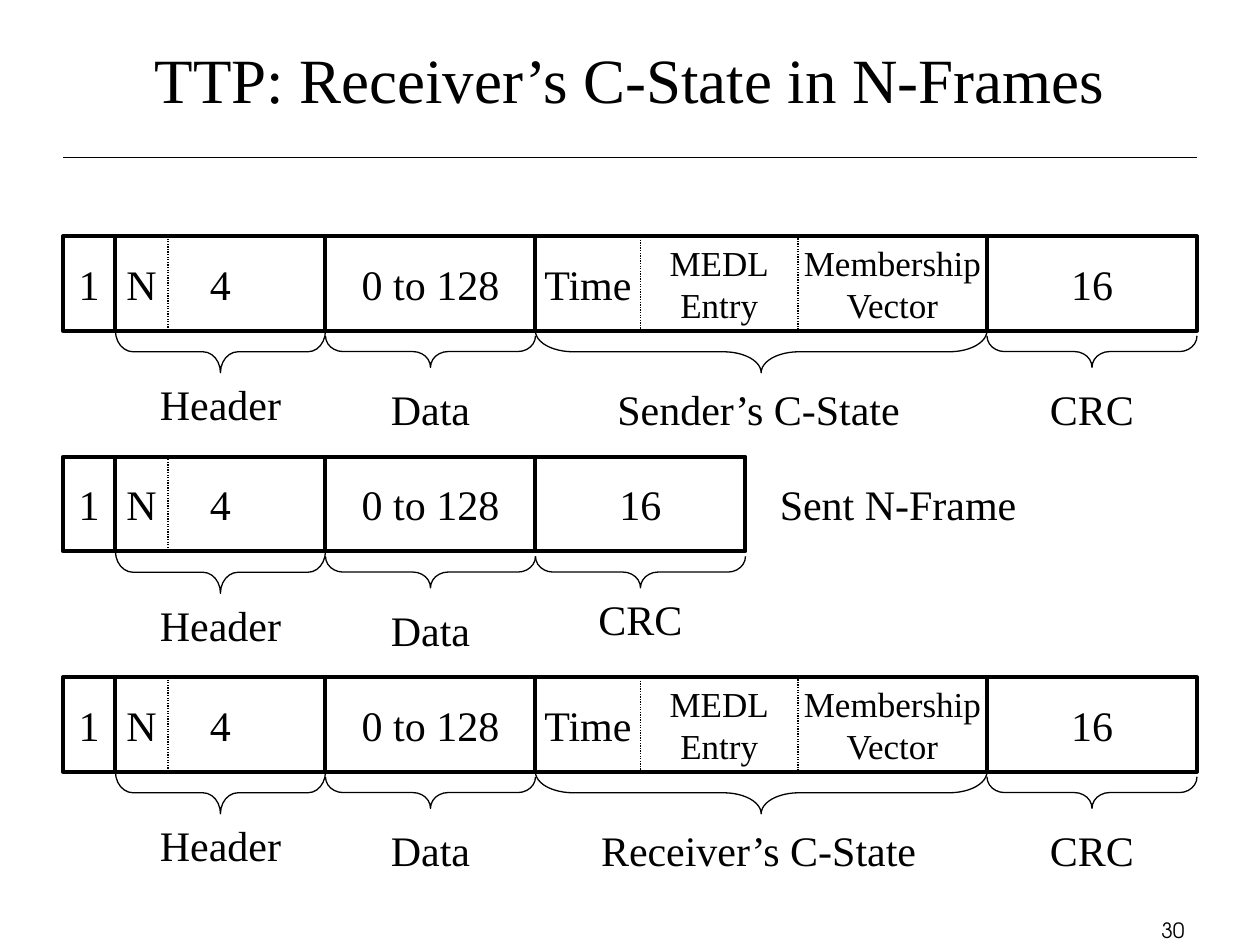
from pptx import Presentation
from pptx.dml.color import RGBColor
from pptx.enum.dml import MSO_LINE
from pptx.enum.shapes import MSO_CONNECTOR, MSO_SHAPE
from pptx.enum.text import MSO_ANCHOR, MSO_AUTO_SIZE, PP_ALIGN
from pptx.oxml.ns import qn
from pptx.util import Inches, Pt
from lxml import etree

BLACK = RGBColor(0, 0, 0)
SERIF = "Times New Roman"
SANS = "TeX Gyre Adventor"
UNIT = 5 / 12   # width of one grid column, in inches
TALL = 0.75     # height of a frame


def write(shape, text, size=24, font=SERIF, align=PP_ALIGN.CENTER,
          anchor=MSO_ANCHOR.MIDDLE, wrap=False, grow=False):
    frame = shape.text_frame
    frame.word_wrap = wrap
    if grow:
        frame.auto_size = MSO_AUTO_SIZE.SHAPE_TO_FIT_TEXT
    frame.vertical_anchor = anchor
    frame.text = text
    for para in frame.paragraphs:
        para.alignment = align
        para.font.size = Pt(size)
        para.font.name = font
        para.font.color.rgb = BLACK


def note(slide, x, y, w, h, text, **style):
    box = slide.shapes.add_textbox(Inches(x), Inches(y), Inches(w), Inches(h))
    write(box, text, **style)


def outline(slide, kind, x, y, w, h, weight):
    shape = slide.shapes.add_shape(kind, Inches(x), Inches(y), Inches(w), Inches(h))
    shape.shadow.inherit = False
    shape.fill.background()
    shape.line.color.rgb = BLACK
    shape.line.width = Pt(weight)
    return shape


def cell(slide, x, y, w, text="", size=24, dots=False):
    shape = outline(slide, MSO_SHAPE.RECTANGLE, x, y, w, TALL, 0.75 if dots else 2.25)
    if dots:
        shape.line.dash_style = MSO_LINE.ROUND_DOT
    if text:
        write(shape, text, size=size)


def brace(slide, x, y, span, deep):
    # A left brace turned a quarter, so that its tip points down
    depth = 1 / 3 if deep else 0.25
    top = y + TALL + (0 if deep else 0.04)
    shape = outline(slide, MSO_SHAPE.LEFT_BRACE, x + (span - depth) / 2,
                    top + (depth - span) / 2, depth, span, 0.75)
    shape.rotation = 270
    shape.adjustments[0] = span / 12 / depth


def label(slide, x, y, span, text, width, drop=1.12, deep=False, shift=0):
    brace(slide, x, y, span, deep)
    note(slide, x + (span - width) / 2 + shift, y + drop, width, 0.5, text,
         anchor=MSO_ANCHOR.TOP, grow=True)


def state(slide, x, y, owner, width):
    # C-state field with its three parts
    span = 8.6 * UNIT
    cell(slide, x, y, span)
    cell(slide, x, y, 2 * UNIT, "Time", dots=True)
    note(slide, x + 2 * UNIT, y, 3 * UNIT, TALL, "MEDL\nEntry", size=20)
    cell(slide, x + 5 * UNIT, y, 3.6 * UNIT, "Membership\nVector", size=20, dots=True)
    label(slide, x, y, span, owner + "’s C-State", width, deep=True, shift=-0.02)
    return x + span


def packet(slide, x, y, owner=None, width=0):
    wide = 4 * UNIT
    # Header
    cell(slide, x, y, UNIT, "1")
    x += UNIT
    cell(slide, x, y, wide, "4")
    cell(slide, x, y, UNIT, "N", dots=True)
    label(slide, x, y, wide, "Header", 1.18, drop=1.08, deep=True)
    # Data
    x += wide
    cell(slide, x, y, wide, "0 to 128")
    label(slide, x, y, wide, "Data", 0.85)
    # C-state, if any, and checksum
    x += wide
    if owner:
        x = state(slide, x, y, owner, width)
    cell(slide, x, y, wide, "16")
    label(slide, x, y, wide, "CRC", 0.9, drop=1.12 if owner else 1.04)


def heading(slide, x, y, w, h):
    note(slide, x, y, w, h, "TTP: Receiver’s C-State in N-Frames", size=36, wrap=True)
    rule = slide.shapes.add_connector(MSO_CONNECTOR.STRAIGHT, Inches(x), Inches(y + h),
                                      Inches(x + w), Inches(y + h))
    rule.line.color.rgb = BLACK
    rule.line.width = Pt(0.75)
    etree.SubElement(rule._element.spPr, qn("a:effectLst"))


def main():
    deck = Presentation()
    deck.slide_width, deck.slide_height = Inches(10), Inches(7.5)
    slide = deck.slides.add_slide(deck.slide_layouts[6])
    left, top, step = 0.5, 2.5 * TALL, 1.75
    heading(slide, left, 0, 9, 1.25)
    # Three frames, one below the other
    rows = [("Sender", 2.47), (None, 0), ("Receiver", 2.73)]
    for i, (owner, width) in enumerate(rows):
        packet(slide, left, top + i * step, owner, width)
    note(slide, 6.09, top + step + 0.12, 2.08, 0.5, "Sent N-Frame",
         align=PP_ALIGN.LEFT, anchor=MSO_ANCHOR.TOP, grow=True)
    # Page number
    note(slide, 7.42, 7.23, 2.08, 0.25, "30", size=12, font=SANS,
         align=PP_ALIGN.RIGHT, anchor=MSO_ANCHOR.TOP, wrap=True)
    deck.save("out.pptx")


if __name__ == "__main__":
    main()
